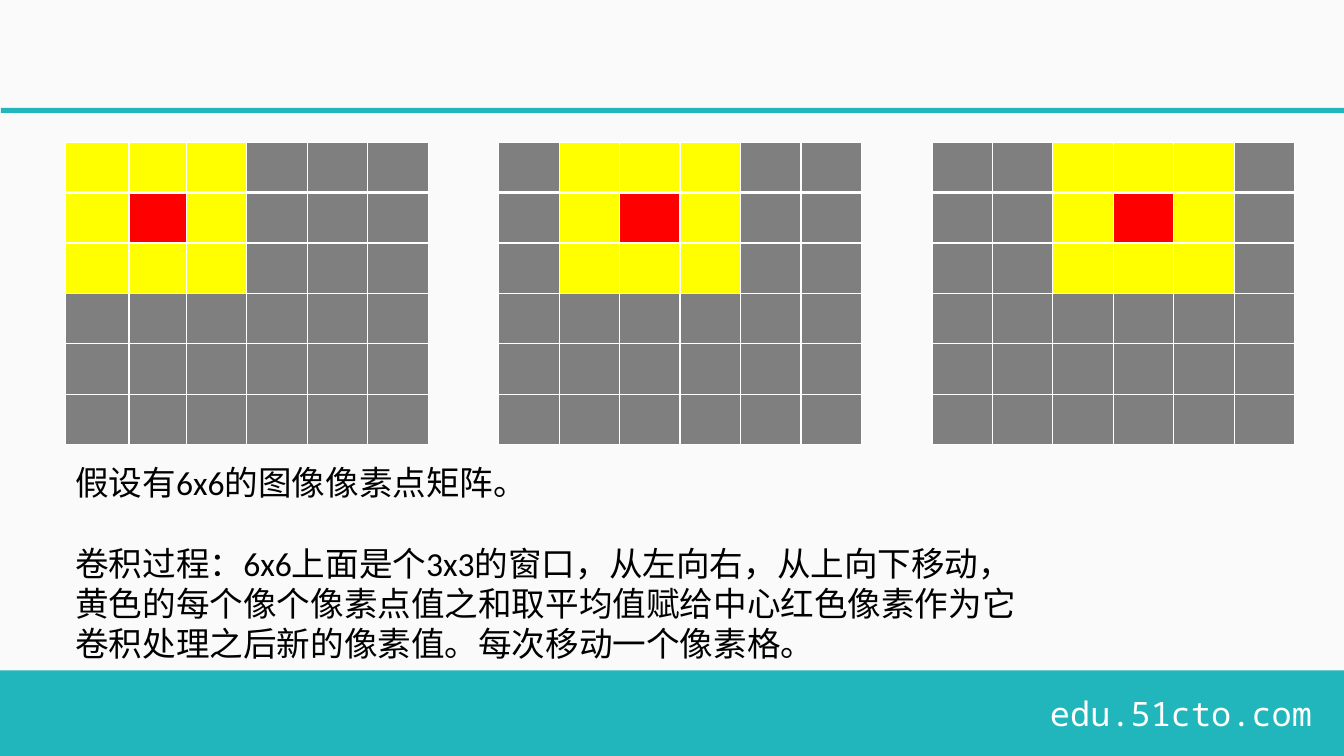
from lxml.etree import SubElement
from pptx import Presentation
from pptx.dml.color import RGBColor
from pptx.enum.shapes import MSO_SHAPE
from pptx.enum.text import PP_ALIGN
from pptx.oxml.ns import qn
from pptx.util import Inches, Pt

TEAL, WHITE, BLACK = "21B6BB", "FFFFFF", "000000"
GRAY, YELLOW, RED = "7F7F7F", "FFFF00", "FF0000"
SIZE = 6
EVEN = [0.6] * SIZE
GRIDS = [
    (0.65, [0.63, 0.57] + EVEN[2:]),
    (4.95, EVEN),
    (9.25, EVEN),
]
NOTES = [
    "假设有6x6的图像像素点矩阵。",
    "卷积过程：6x6上面是个3x3的窗口，从左向右，从上向下移动，"
    "黄色的每个像个像素点值之和取平均值赋给中心红色像素作为它"
    "卷积处理之后新的像素值。每次移动一个像素格。",
]


def tint(fill, color):
    """Make a fill solid in a hex color."""
    fill.solid()
    fill.fore_color.rgb = RGBColor.from_string(color)


def style(item, values):
    """Set each named value on an item."""
    for name, value in values.items():
        setattr(item, name, value)


def paint(slide):
    """Give the slide its soft vertical gradient."""
    fill = slide.background.fill
    fill.gradient()
    fill.gradient_angle = 270
    for stop, color in zip(fill.gradient_stops, ("FAFAFA", "FCFCFC")):
        stop.color.rgb = RGBColor.from_string(color)


def add_bar(slide, left, top, width, height):
    """Add a teal bar with no outline."""
    bar = slide.shapes.add_shape(
        MSO_SHAPE.RECTANGLE, *map(Inches, (left, top, width, height)))
    bar.shadow.inherit = False
    tint(bar.fill, TEAL)
    bar.line.fill.background()


def add_text(slide, place, lines, font, color, align=PP_ALIGN.LEFT):
    """Add a wrapped text box with one paragraph for each line."""
    frame = slide.shapes.add_textbox(*map(Inches, place)).text_frame
    frame.word_wrap = True
    for index, line in enumerate(lines):
        para = frame.add_paragraph() if index else frame.paragraphs[0]
        para.alignment = align
        if index:
            para.space_before = Pt(29)
        run = para.add_run()
        run.text = line
        style(run.font, {"name": font, "size": Pt(24)})
        run.font.color.rgb = RGBColor.from_string(color)


def add_edge(cell, side, width):
    """Draw one white edge of a cell."""
    props = cell._tc.get_or_add_tcPr()
    edge = SubElement(props, qn(f"a:ln{side}"), w=str(Pt(width)))
    fill = SubElement(edge, qn("a:solidFill"))
    SubElement(fill, qn("a:srgbClr"), val=WHITE)


def pick(row, col, start):
    """Choose a pixel color for a window at a start column."""
    if (row, col) == (1, start + 1):
        return RED
    return YELLOW if row < 3 and start <= col < start + 3 else GRAY


def add_grid(slide, left, widths, start):
    """Add a pixel grid with its window at a start column."""
    place = map(Inches, (left, 1.41, sum(widths), 3))
    table = slide.shapes.add_table(SIZE, SIZE, *place).table
    style(table, {"first_row": False, "horz_banding": False})
    for col, width in zip(table.columns, widths):
        col.width = Inches(width)
    for row in range(SIZE):
        table.rows[row].height = Inches(0.5)
        edges = {"L": 1, "R": 1, "T": 3 if row == 1 else 1,
                 "B": 3 if row == 0 else 1}
        for col in range(SIZE):
            cell = table.cell(row, col)
            for side, width in edges.items():
                add_edge(cell, side, width)
            tint(cell.fill, pick(row, col, start))


def main():
    """Build and save the slide."""
    deck = Presentation()
    style(deck, {"slide_width": Inches(13.34), "slide_height": Inches(7.5)})
    slide = deck.slides.add_slide(deck.slide_layouts[6])
    paint(slide)
    add_bar(slide, 0, 6.65, 13.34, 0.85)
    add_text(slide, (7.69, 6.83, 5.43, 0.5), ["edu.51cto.com"],
             "Noto Sans Mono", WHITE, PP_ALIGN.RIGHT)
    add_bar(slide, 0.01, 1.07, 13.33, 0.05)
    for start, (left, widths) in enumerate(GRIDS):
        add_grid(slide, left, widths, start)
    add_text(slide, (0.65, 4.53, 9.59, 2.12), NOTES, "Calibri", BLACK)
    deck.save("out.pptx")


if __name__ == "__main__":
    main()
